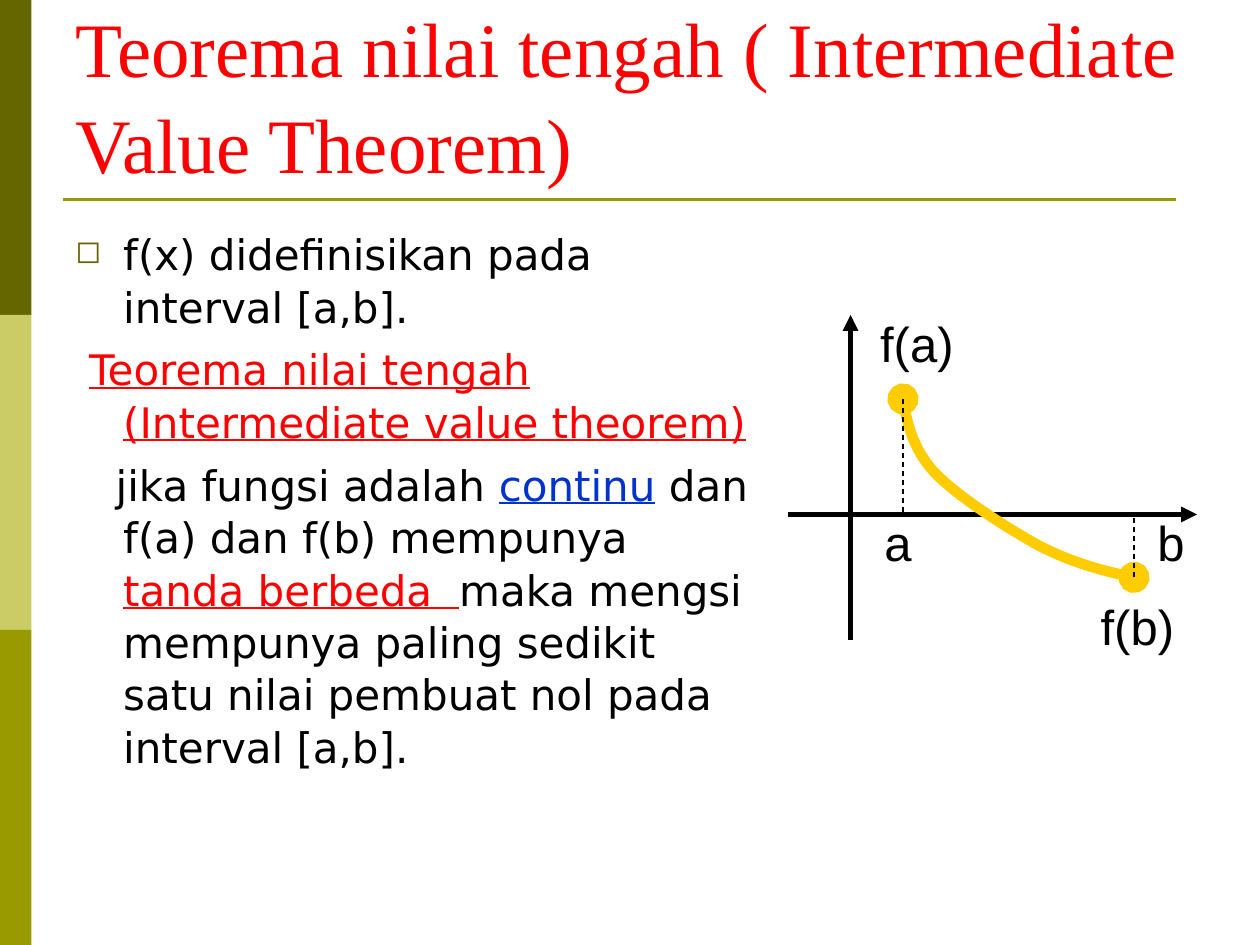
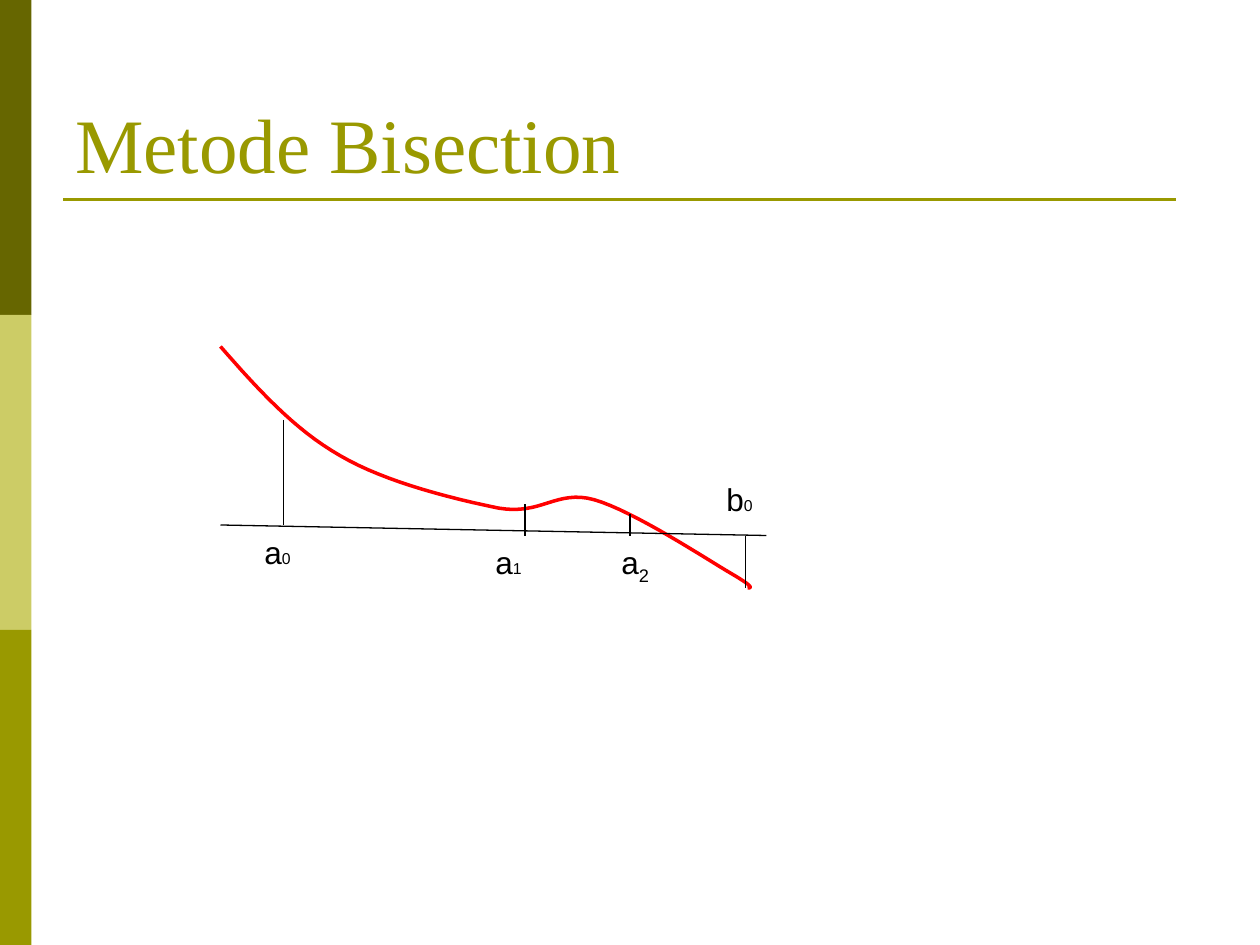
import dataclasses

import lxml.etree
import pptx
import pptx.dml.color
import pptx.enum.dml
import pptx.enum.shapes
import pptx.enum.text
import pptx.oxml.ns
import pptx.util

RGB = pptx.dml.color.RGBColor
OLIVE = RGB(0x99, 0x99, 0x00)
DARK = RGB(0x66, 0x66, 0x00)
PALE = RGB(0xCC, 0xCC, 0x66)
RED = RGB(0xFF, 0x00, 0x00)
BLUE = RGB(0x00, 0x33, 0xCC)
GOLD = RGB(0xFF, 0xCC, 0x00)
BLACK = RGB(0x00, 0x00, 0x00)

COLS, ROWS = 120, 90  # grid of the whole slide
CELL = pptx.util.Inches(10) // COLS
ALIGN = pptx.enum.text.PP_ALIGN
ANCHOR = pptx.enum.text.MSO_ANCHOR


@dataclasses.dataclass
class Box:
    """Area in grid cells; its parts are placed from its top left corner."""
    left: float
    top: float
    width: float
    height: float

    def point(self, x, y):
        return round((self.left + x) * CELL), round((self.top + y) * CELL)

    def inner(self, x, y, width, height):
        return Box(self.left + x, self.top + y, width, height)

    def frame(self):
        return (*self.point(0, 0), round(self.width * CELL), round(self.height * CELL))


def child(parent, tag, **attrs):
    name = pptx.oxml.ns.qn("a:" + tag)
    return lxml.etree.SubElement(parent, name, attrs)


def write(slide, box, *paras, font="Arial", size=18, color=BLACK,
          align=ALIGN.LEFT, anchor=ANCHOR.TOP, before=0):
    """Each paragraph is a list of (text, changes) runs."""
    frame = slide.shapes.add_textbox(*box.frame()).text_frame
    frame.word_wrap = True
    frame.vertical_anchor = anchor
    for i, runs in enumerate(paras):
        para = frame.add_paragraph() if i else frame.paragraphs[0]
        para.alignment = align
        para.line_spacing = 1.04
        para.space_before = pptx.util.Pt(before)
        for words, changes in runs:
            run = para.add_run()
            run.text = words
            look = run.font
            look.name = font
            look.size = pptx.util.Pt(changes.get("size", size))
            look.color.rgb = changes.get("color", color)
            look.underline = changes.get("under", False)
            if "base" in changes:
                look._element.set("baseline", str(changes["base"] * 1000))
    return frame.paragraphs


def stroke(shape, color, width, dash=None, head=None, tail=None):
    line = shape.line
    line.color.rgb = color
    line.width = pptx.util.Pt(width)
    if dash:
        line.dash_style = dash
    for tag, kind in (("headEnd", head), ("tailEnd", tail)):
        if kind:
            child(line._get_or_add_ln(), tag, type=kind)


def rule(slide, box, start, end, color=BLACK, width=0.75, **ends):
    kind = pptx.enum.shapes.MSO_CONNECTOR.STRAIGHT
    line = slide.shapes.add_connector(kind, *box.point(*start), *box.point(*end))
    stroke(line, color, width, **ends)
    child(line._element.spPr, "effectLst")


def curve(slide, box, start, bends, color, width, **ends):
    """Draw joined cubic Bezier bends, each given as two controls and an end."""
    steps = 16
    dots = []
    p = start
    for q, r, s in bends:
        for i in range(1, steps + 1):
            t = i / steps
            u = 1 - t
            dots.append(box.point(*(
                u**3 * a + 3 * u * u * t * b + 3 * u * t * t * c + t**3 * d
                for a, b, c, d in zip(p, q, r, s))))
        p = s
    trace = slide.shapes.build_freeform(*box.point(*start))
    trace.add_line_segments(dots, close=False)
    shape = trace.convert_to_shape()
    shape.shadow.inherit = False
    shape.fill.background()
    stroke(shape, color, width, **ends)


def base(deck, title, color):
    """Add a slide with its side bands, title and title rule."""
    slide = deck.slides.add_slide(deck.slide_layouts[6])
    step = ROWS / 3
    for i, tone in enumerate((DARK, PALE, OLIVE)):
        band = slide.shapes.add_shape(
            pptx.enum.shapes.MSO_SHAPE.RECTANGLE, *Box(0, i * step, 3, step).frame())
        band.shadow.inherit = False
        band.fill.solid()
        band.fill.fore_color.rgb = tone
        band.line.fill.background()
    head = Box(6, 3.6, 108, 15)
    rule(slide, head, (0, 15.4), (106, 15.4), OLIVE, 1.5)
    write(slide, head, [(title, {})], font="Times New Roman", size=44,
          color=color, anchor=ANCHOR.BOTTOM)
    return slide


def body(slide, box):
    red = {"color": RED, "under": True}
    paras = write(
        slide, box,
        [("f(x) didefinisikan pada interval [a,b].", {})],
        [("Teorema nilai tengah (Intermediate value theorem)", red)],
        [("jika fungsi adalah ", {}),
         ("continu", {"color": BLUE, "under": True}),
         (" dan f(a) dan f(b) mempunya ", {}),
         ("tanda berbeda  ", red),
         ("maka mengsi mempunya paling sedikit satu nilai pembuat nol "
          "pada interval [a,b].", {})],
        font="DejaVu Sans", size=24, before=6)
    for para, first in zip(paras, (-0.38, -0.27, -0.06)):
        props = para._p.get_or_add_pPr()
        props.set("marL", str(pptx.util.Inches(0.38)))
        props.set("indent", str(pptx.util.Inches(first)))
    props = paras[0]._p.get_or_add_pPr()
    child(child(props, "buClr"), "srgbClr", val=str(DARK))
    child(props, "buSzPct", val="75000")
    child(props, "buChar", char="◻")


def graph(slide, box):
    """Axes with a curve that changes sign between a and b."""
    zero, first, last = 20, (11, 9), (33, 26)
    rule(slide, box, (0, zero), (39, zero), width=3, tail="triangle")
    rule(slide, box, (6, 32), (6, 1), width=3, tail="triangle")
    curve(slide, box, first, [
        ((11.4, 11.3), (11.9, 13.7), (14, 16)),
        ((16.2, 18.3), (20.9, 21.3), (24, 23)),
        ((27.1, 24.6), (30.1, 25.4), last),
    ], GOLD, 6, head="oval", tail="oval")
    for x, y in (first, last):
        rule(slide, box, (x, y), (x, zero), dash=pptx.enum.dml.MSO_LINE.DASH)
    for name, x, y, width in (("a", 6, 19, 7), ("b", 32, 19, 7),
                              ("f(a)", 6, 0, 11), ("f(b)", 27, 27, 11)):
        write(slide, box.inner(x, y, width, 6.8), [(name, {})],
              size=28, align=ALIGN.RIGHT)


def halving(slide, box):
    """Curve over a line, with the points the method visits."""
    curve(slide, box, (0, 0), [
        ((3.5, 4), (7, 7.9), (11.4, 10.4)),
        ((15.8, 13), (22.6, 14.6), (26.5, 15.4)),
        ((30.6, 16.1), (32, 13.6), (35.6, 14.6)),
        ((39.4, 15.7), (46.2, 20.2), (48.6, 21.6)),
        ((51, 23), (50.5, 23), (50.2, 23)),
    ], RED, 2)
    rule(slide, box, (0, 17), (52, 18))
    for x, top, foot in ((6, 7, 17), (29, 15, 18), (39, 16, 18), (50, 18, 23)):
        rule(slide, box, (x, top), (x, foot))
    small, sub = {"size": 9}, {"base": -25}
    for name, mark, look, x, y, width in (
            ("a", "0", small, 3, 17, 9), ("b", "0", small, 47, 12, 9),
            ("a", "1", small, 25, 18, 9), ("a", "2", sub, 37, 18, 6)):
        write(slide, box.inner(x, y, width, 4.8), [(name, {}), (mark, look)])


def main():
    deck = pptx.Presentation()
    deck.slide_width, deck.slide_height = COLS * CELL, ROWS * CELL
    slide = base(deck, "Teorema nilai tengah ( Intermediate Value Theorem)", RED)
    body(slide, Box(6, 21, 67, 59.4))
    graph(slide, Box(75, 29, 39, 34))
    slide = base(deck, "Metode Bisection", OLIVE)
    halving(slide, Box(21, 33, 52, 23))
    deck.save("out.pptx")


if __name__ == "__main__":
    main()
